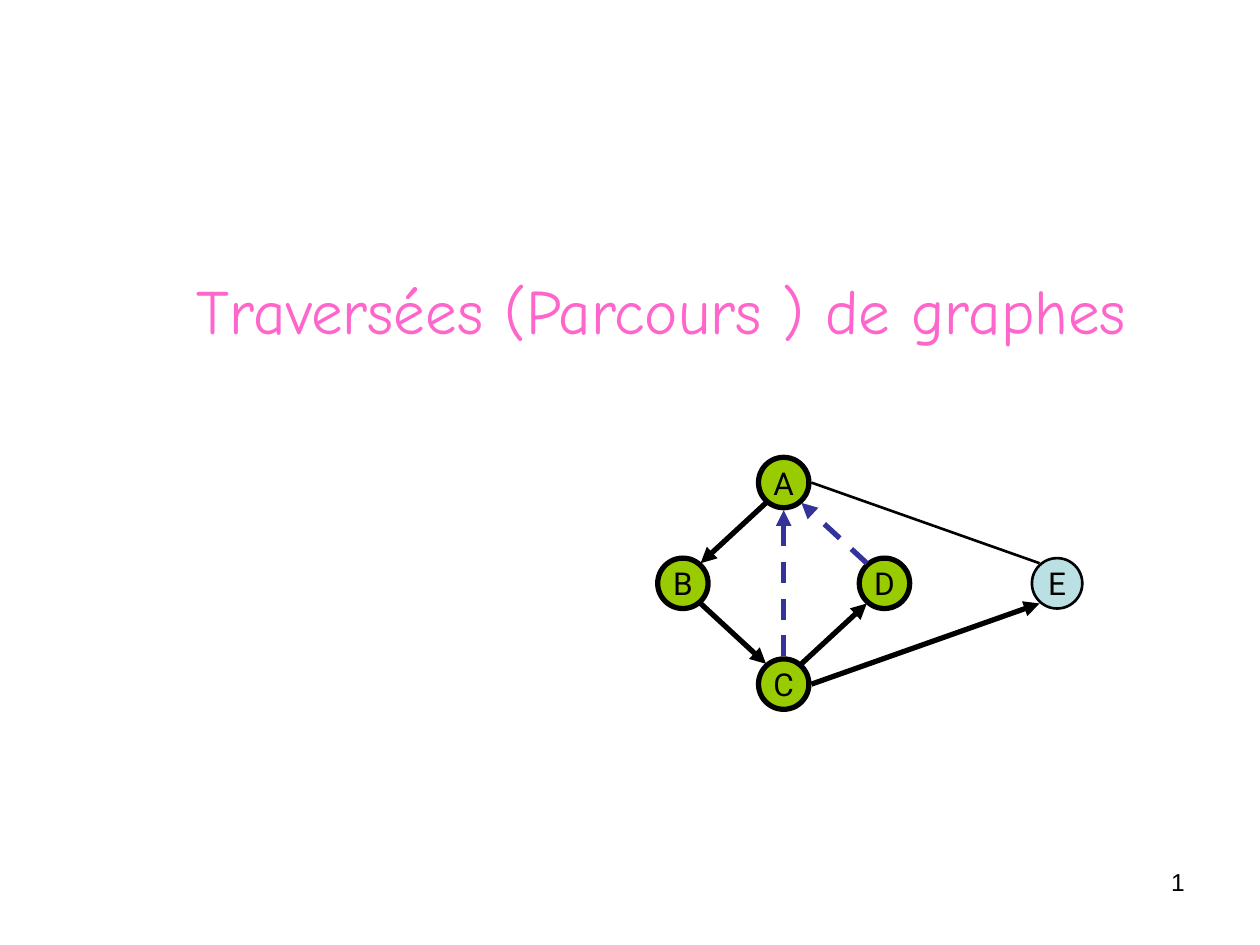
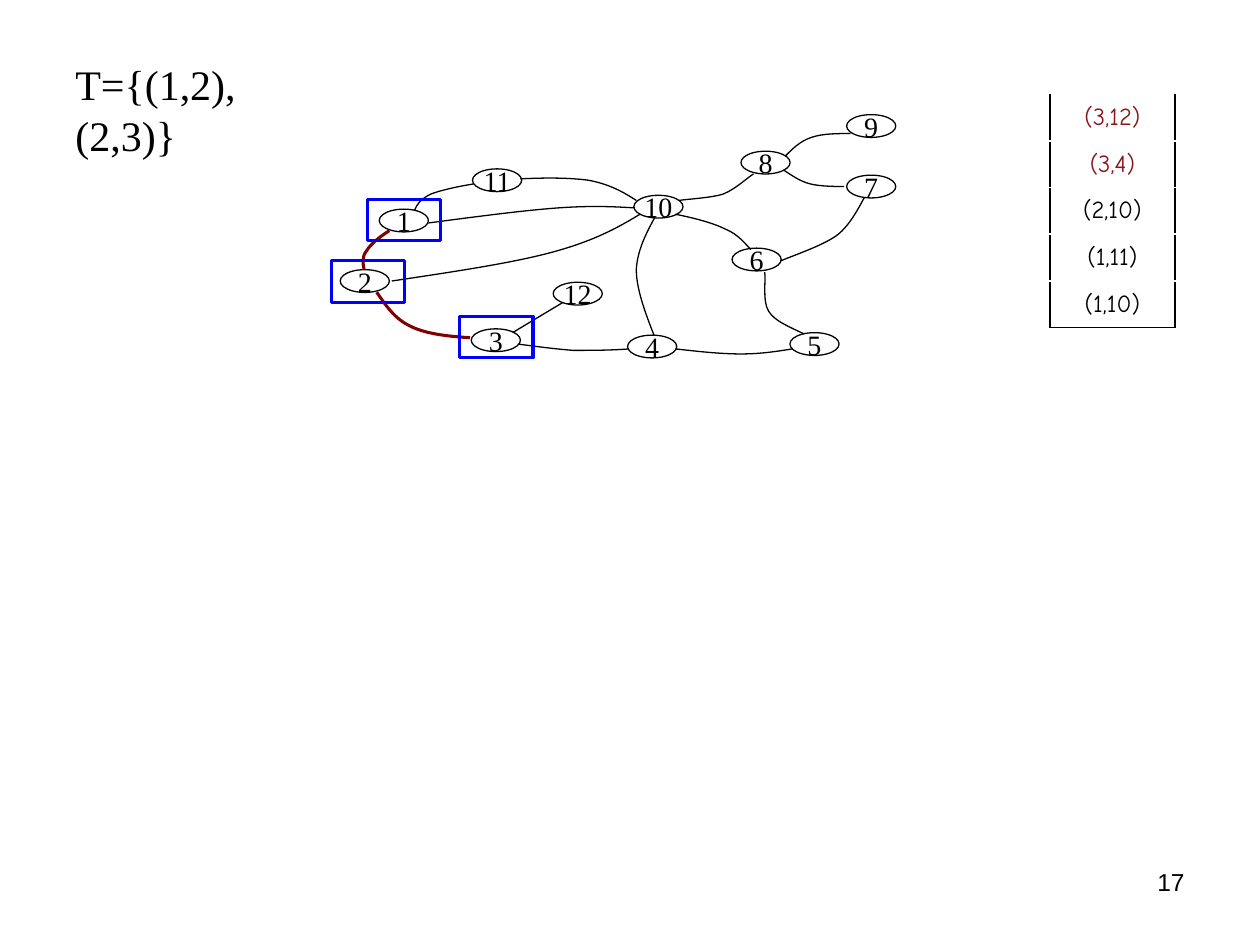
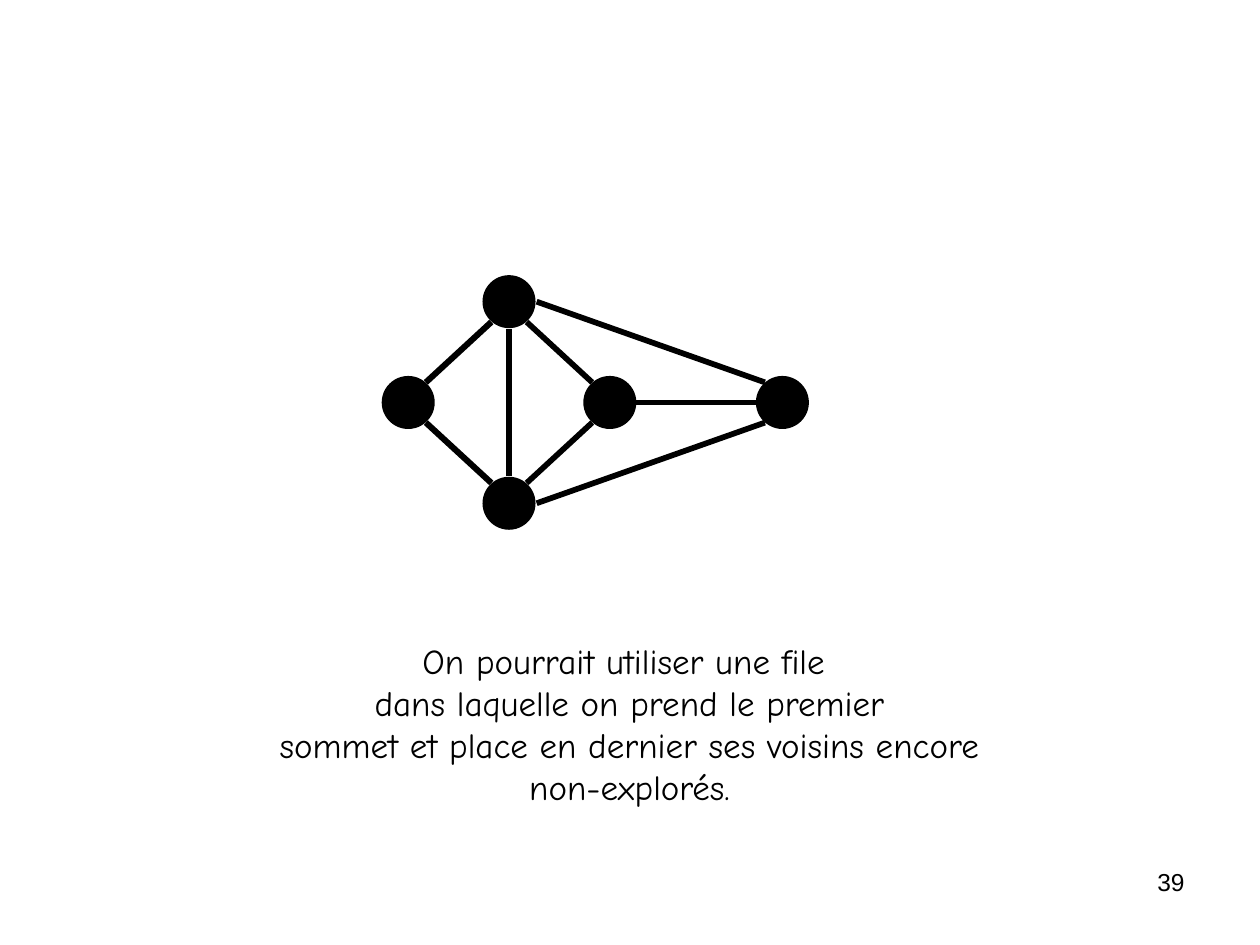
from lxml import etree
from pptx import Presentation
from pptx.dml.color import RGBColor
from pptx.enum.dml import MSO_LINE
from pptx.enum.shapes import MSO_CONNECTOR, MSO_SHAPE
from pptx.enum.text import MSO_ANCHOR, PP_ALIGN
from pptx.oxml.ns import qn
from pptx.util import Pt

BLACK = RGBColor(0x00, 0x00, 0x00)
WHITE = RGBColor(0xFF, 0xFF, 0xFF)
PINK = RGBColor(0xFF, 0x66, 0xCC)
GREEN = RGBColor(0x99, 0xCC, 0x00)
PALE_BLUE = RGBColor(0xBB, 0xE0, 0xE3)
INDIGO = RGBColor(0x33, 0x33, 0x99)
BLUE = RGBColor(0x00, 0x00, 0xFF)
MAROON = RGBColor(0x80, 0x00, 0x00)
CRIMSON = RGBColor(0x89, 0x17, 0x1D)
HAND = "Comic Neue"
SERIF = "Times New Roman"


def write_text(frame, text, font, size, color=BLACK, align=PP_ALIGN.CENTER,
               anchor=MSO_ANCHOR.MIDDLE, wrap=False, space_before=0):
    frame.word_wrap = wrap
    frame.vertical_anchor = anchor
    for index, line in enumerate(text.split("\n")):
        paragraph = frame.add_paragraph() if index else frame.paragraphs[0]
        paragraph.alignment = align
        paragraph.space_before = Pt(space_before)
        run = paragraph.add_run()
        run.text = line
        run.font.name = font
        run.font.size = Pt(size)
        run.font.color.rgb = color


def style_outline(shape, color, width):
    shape.line.color.rgb = color
    shape.line.width = Pt(width)
    etree.SubElement(shape.element.spPr, qn("a:effectLst"))


presentation = Presentation()
presentation.slide_width = Pt(720)
presentation.slide_height = Pt(540)

slides = []
for number in ("1", "17", "39"):
    slide = presentation.slides.add_slide(presentation.slide_layouts[6])
    footer = slide.shapes.add_textbox(Pt(516), Pt(492), Pt(168), Pt(37.5))
    write_text(footer.text_frame, number, "Arial", 14, align=PP_ALIGN.RIGHT,
               anchor=MSO_ANCHOR.TOP, wrap=True)
    slides.append(slide)
title_slide, stack_slide, queue_slide = slides

title = title_slide.shapes.add_textbox(Pt(72), Pt(132), Pt(612), Pt(90))
write_text(title.text_frame, "Traversées (Parcours ) de graphes", HAND, 36, PINK, wrap=True)

NODE_SIZE = 28.8
STEP = 57.6
NODE_OFFSETS = {"A": (STEP, 0), "B": (0, STEP), "C": (STEP, 2 * STEP),
                "D": (2 * STEP, STEP), "E": (213.84, STEP)}
EDGE_ENDS = {
    "AB": (61.9, 26, 24.5, 60.5),
    "BC": (24.5, 83.5, 61.9, 118),
    "CD": (82.1, 118, 119.5, 83.5),
    "DA": (119.5, 60.5, 82.1, 26),
    "CA": (72, 113.8, 72, 30.2),
    "CE": (87.8, 129.6, 218.2, 83.5),
    "EA": (218.2, 60.5, 87.8, 14.4),
    "DE": (144.7, 72, 218.2, 72),
}
visited = (GREEN, 3)
traversal_nodes = {"A": visited, "B": visited, "C": visited, "D": visited, "E": (PALE_BLUE, 1.5)}
traversal_edges = {"AB": (BLACK, 3), "BC": (BLACK, 3), "CD": (BLACK, 3), "DA": (INDIGO, 3),
                   "CA": (INDIGO, 3), "CE": (BLACK, 3), "EA": (BLACK, 1.5)}
explored_nodes = {name: (BLACK, 1.5) for name in NODE_OFFSETS}
explored_edges = {"AB": (BLACK, 3.49), "BC": (BLACK, 3.49), "CD": (BLACK, 3.26),
                  "DA": (BLACK, 3.26), "CA": (BLACK, 3.49), "CE": (BLACK, 3.26),
                  "EA": (BLACK, 3.26), "DE": (BLACK, 2.75)}
graphs = [
    (title_slide, 375.84, 261.36, traversal_nodes, traversal_edges, True),
    (queue_slide, 218.88, 158, explored_nodes, explored_edges, False),
]
for slide, left, top, nodes, edges, detailed in graphs:
    for name, (fill, width) in nodes.items():
        x, y = NODE_OFFSETS[name]
        node = slide.shapes.add_shape(MSO_SHAPE.OVAL, Pt(left + x), Pt(top + y),
                                      Pt(NODE_SIZE), Pt(NODE_SIZE))
        node.fill.solid()
        node.fill.fore_color.rgb = fill
        style_outline(node, BLACK, width)
        if detailed:
            write_text(node.text_frame, name, "Roboto", 18)
    for name, (color, width) in edges.items():
        x1, y1, x2, y2 = EDGE_ENDS[name]
        edge = slide.shapes.add_connector(MSO_CONNECTOR.STRAIGHT, Pt(left + x1), Pt(top + y1),
                                          Pt(left + x2), Pt(top + y2))
        style_outline(edge, color, width)
        if color == INDIGO:
            edge.line.dash_style = MSO_LINE.DASH
        if detailed and name != "EA":
            line = edge.element.spPr.find(qn("a:ln"))
            etree.SubElement(line, qn("a:tailEnd"), type="triangle")

numbered_nodes = {
    "1": (216.7, 119.5), "2": (194.4, 154.1), "3": (269.3, 187.9), "4": (358.6, 191.5),
    "5": (451.4, 190.1), "6": (418.3, 141.8), "7": (483.8, 100.1), "8": (423.4, 86.4),
    "9": (483.8, 65.5), "10": (362.2, 111.6), "11": (270, 96.5), "12": (316.1, 161.3),
}
for name, (left, top) in numbered_nodes.items():
    node = stack_slide.shapes.add_shape(MSO_SHAPE.OVAL, Pt(left), Pt(top), Pt(28.1), Pt(13))
    node.fill.solid()
    node.fill.fore_color.rgb = WHITE
    style_outline(node, BLACK, 0.74)
    write_text(node.text_frame, name, SERIF, 16)

tree_curves = [
    [(215.3, 167), (220.3, 174.2), (225.4, 182.2), (234.7, 186.5),
     (243.4, 190.8), (255.6, 192.2), (268.6, 193)],
    [(222.5, 131.8), (216.7, 135.4), (211.7, 139.7), (209.5, 143.3),
     (206.6, 146.9), (207.4, 150.5), (208.1, 154.1)],
]
other_curves = [
    [(295.9, 196.6), (306.7, 198), (316.8, 199.4), (327.6, 200.2),
     (337.7, 200.2), (348.5, 200.2), (359.3, 199.4)],
    [(385.9, 199.4), (398.9, 200.9), (411.8, 202.3), (423.4, 202.3),
     (434.9, 202.3), (443.5, 200.9), (452.9, 199.4)],
    [(293, 190.1), (293, 190.1), (307.4, 181.4), (321.8, 172.8)],
    [(437, 155.5), (437.8, 159.1), (435.6, 172.1), (439.2, 177.8),
     (442.8, 183.6), (450.7, 186.5), (459.4, 190.8)],
    [(385.9, 122.4), (396.7, 124.6), (407.5, 127.4), (414.7, 131),
     (421.9, 133.9), (426.2, 139.7), (429.1, 142.6)],
    [(373.7, 191.5), (368.6, 178.6), (363.6, 164.9), (363.6, 154.1),
     (364.3, 142.6), (369.4, 133.2), (374.4, 123.8)],
    [(223.9, 160.6), (257.8, 155.5), (292.3, 150.5), (316.1, 144),
     (339.8, 137.5), (352.8, 130.3), (365.8, 122.4)],
    [(363.6, 114.5), (355.7, 109.4), (347.8, 105.1), (336.2, 103),
     (325.4, 101.5), (311.8, 101.5), (297.4, 102.2)],
    [(270.7, 105.1), (261.4, 106.6), (252, 108.7), (246.2, 110.9),
     (240.5, 113.8), (238.3, 116.6), (236.9, 120.2)],
    [(244.8, 127.4), (272.2, 123.8), (299.5, 120.2), (319, 118.8),
     (338.4, 117.4), (350.6, 118.1), (362.9, 118.8)],
    [(388.1, 114.5), (392.4, 113.8), (406.8, 113), (413.3, 110.9),
     (420.5, 108), (427, 101.5), (430.6, 99.4)],
    [(448.6, 89.3), (452.9, 85), (457.2, 80.6), (463.7, 78.5),
     (470.2, 76.3), (478.1, 76.3), (486, 76.3)],
    [(447.8, 97.2), (452.2, 100.1), (457.2, 103.7), (463, 105.1),
     (468.7, 106.6), (478.8, 106.6), (482.4, 106.6)],
    [(493.9, 113), (491.8, 116.6), (486, 128.9), (478.1, 134.6),
     (470.2, 140.4), (452.9, 146.2), (446.4, 149)],
]
for curves, color, width in ((tree_curves, MAROON, 1.76), (other_curves, BLACK, 0.74)):
    for curve in curves:
        points = [(Pt(x), Pt(y)) for x, y in curve]
        builder = stack_slide.shapes.build_freeform(*points[0])
        builder.add_line_segments(points[1:], close=False)
        edge = builder.convert_to_shape()
        edge.fill.background()
        style_outline(edge, color, width)
        segments = list(edge.element.iter(qn("a:lnTo")))
        for start in range(0, len(segments), 3):
            bezier = etree.SubElement(segments[start].getparent(), qn("a:cubicBezTo"))
            for segment in segments[start:start + 3]:
                bezier.append(segment[0])
                segment.getparent().remove(segment)

for left, top in ((210.2, 113.8), (262.8, 180.7), (189.4, 149)):
    frame = stack_slide.shapes.add_shape(MSO_SHAPE.RECTANGLE, Pt(left), Pt(top), Pt(41.8), Pt(23.8))
    frame.fill.background()
    style_outline(frame, BLUE, 1.76)

tree_label = stack_slide.shapes.add_textbox(Pt(36), Pt(30), Pt(169), Pt(36))
write_text(tree_label.text_frame, "T={(1,2), (2,3)}", SERIF, 24, align=PP_ALIGN.LEFT,
           anchor=MSO_ANCHOR.TOP)

stack = [("(3,12)", CRIMSON), ("(3,4)", CRIMSON), ("(2,10)", BLACK),
         ("(1,11)", BLACK), ("(1,10)", BLACK)]
ROW_HEIGHT = 26.64
table = stack_slide.shapes.add_table(len(stack), 1, Pt(600), Pt(54), Pt(71.3),
                                     Pt(ROW_HEIGHT * len(stack))).table
table.first_row = False
table.horz_banding = False
for index, (pair, color) in enumerate(stack):
    table.rows[index].height = Pt(ROW_HEIGHT)
    cell = table.cell(index, 0)
    write_text(cell.text_frame, pair, HAND, 14, color, wrap=True, space_before=3.5)
    cell.vertical_anchor = MSO_ANCHOR.MIDDLE
    cell.fill.background()
    properties = cell.text_frame.paragraphs[0]._p.getparent().getparent().find(qn("a:tcPr"))
    sides = ("lnL", "lnR", "lnB") if index == len(stack) - 1 else ("lnL", "lnR")
    for position, side in enumerate(sides):
        border = etree.Element(qn("a:" + side), w=str(Pt(1.08)))
        fill = etree.SubElement(border, qn("a:solidFill"))
        etree.SubElement(fill, qn("a:srgbClr"), val=str(BLACK))
        properties.insert(position, border)

explanation = queue_slide.shapes.add_textbox(Pt(145.5), Pt(361.5), Pt(428.5), Pt(103.5))
write_text(explanation.text_frame,
           "On pourrait utiliser une file \n"
           "dans laquelle on prend le premier\n"
           " sommet et place en dernier ses voisins encore \n"
           "non-explorés.", HAND, 20)

presentation.save("out.pptx")
